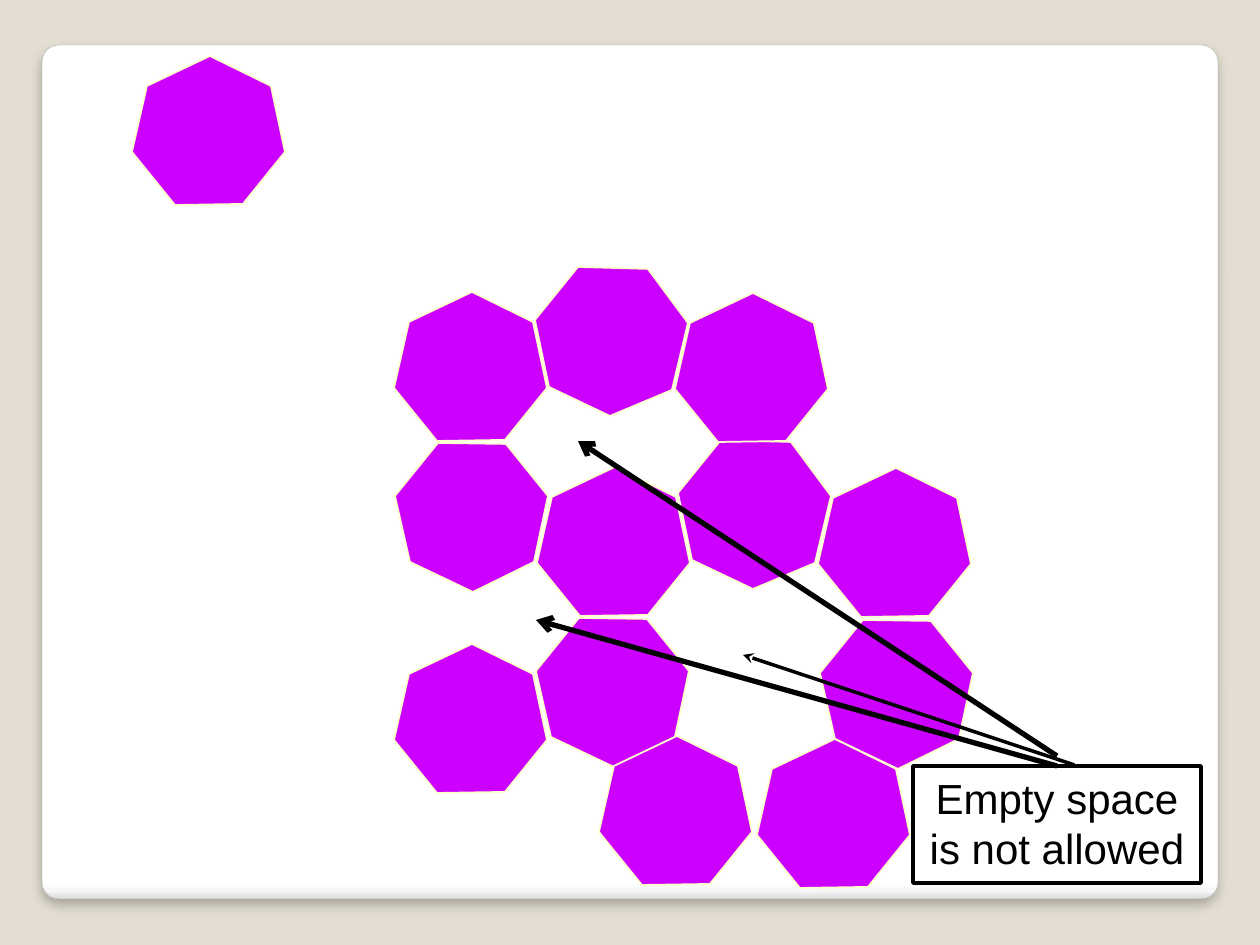
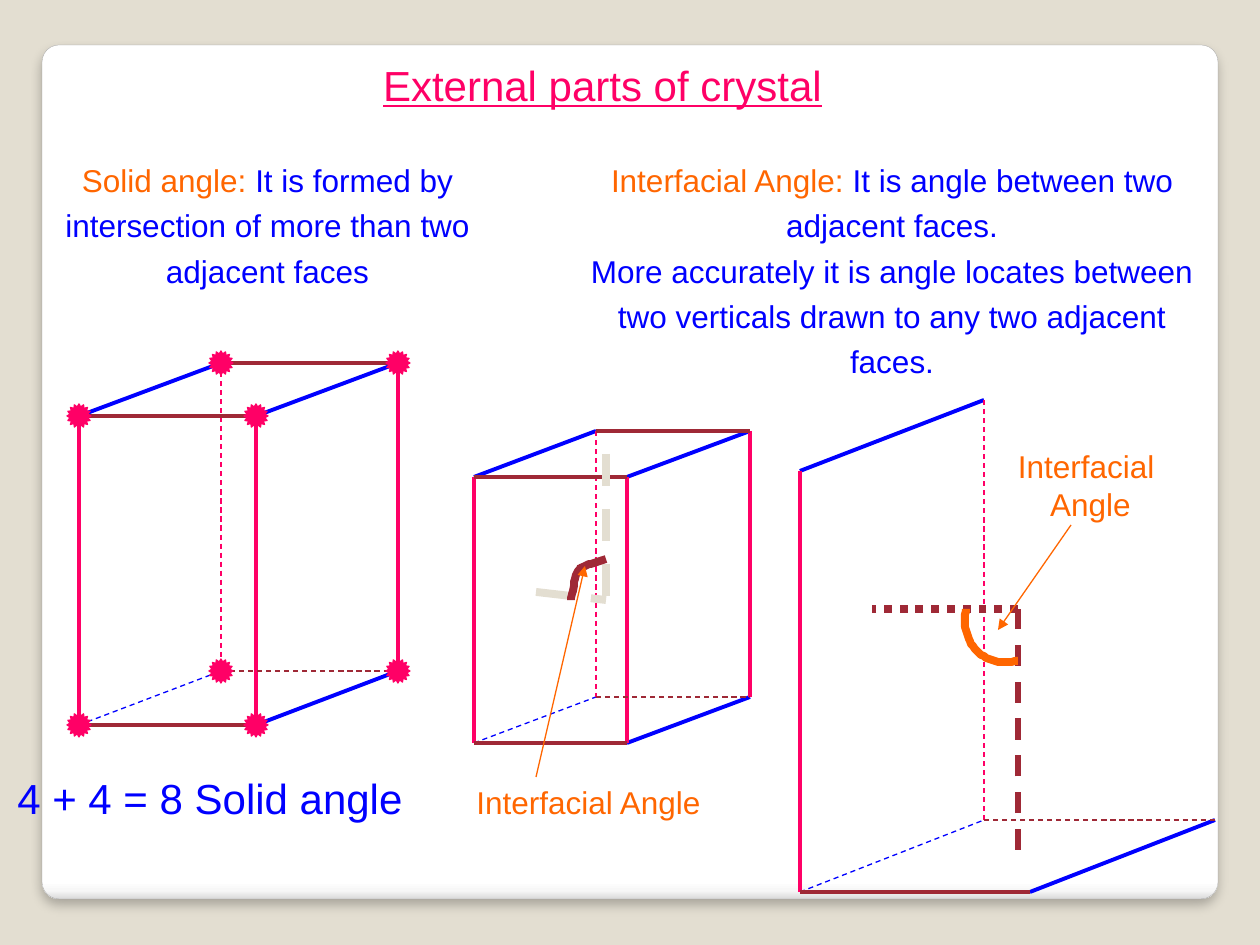
from dataclasses import dataclass

from lxml import etree
from pptx import Presentation
from pptx.dml.color import RGBColor
from pptx.enum.dml import MSO_LINE
from pptx.enum.shapes import MSO_CONNECTOR, MSO_SHAPE
from pptx.enum.text import MSO_ANCHOR, MSO_AUTO_SIZE, PP_ALIGN
from pptx.oxml.ns import qn
from pptx.util import Pt

STRAIGHT = MSO_CONNECTOR.STRAIGHT
DASH, DOT = MSO_LINE.DASH, MSO_LINE.ROUND_DOT
ROUNDED, CALLOUT, STAR = MSO_SHAPE.ROUNDED_RECTANGLE, MSO_SHAPE.LINE_CALLOUT_1, MSO_SHAPE.STAR_16_POINT
CENTER, TOP, FIXED = PP_ALIGN.CENTER, MSO_ANCHOR.TOP, MSO_AUTO_SIZE.NONE

EMU_PER_PX = 914400 / 126
SLIDE_SIZE = (1260, 945)


@dataclass(frozen=True)
class Theme:
    font: str = "Arial"
    heading: int = 24
    body: int = 18
    backdrop: str = "E3DED1"
    panel_edge: str = "A4A4A4"
    tile: str = "CC00FF"
    tile_edge: str = "FFFFCC"
    ink: str = "000000"
    pink: str = "FF0066"
    blue: str = "0000FF"
    orange: str = "FF6600"
    maroon: str = "9F2936"
    thin: float = 0.75
    edge: float = 2.25
    thick: float = 4.5


THEME = Theme()

# Content: panel shared by both slides
PANEL = (42, 45, 1176, 854)
PANEL_STOPS = [(0, "FFFFFF"), (98, "FFFFFF"), (99, "F7F7F7"), (100, "DADADA")]

# Content: heptagon tiles
UPRIGHT = [(43, 149), (0, 96), (15, 30), (78, 0), (139, 30), (153, 96), (111, 148)]
OUTLINES = {
    "upright": UPRIGHT,
    "flipped": [(x, 149 - y) for x, y in UPRIGHT],
    "turned": [(14, 120), (0, 53), (43, 0), (113, 2), (153, 56), (137, 123), (75, 149)],
}
TILES = [
    ("upright", 132, 56), ("upright", 394, 292), ("flipped", 395, 443),
    ("turned", 535, 267), ("upright", 537, 467), ("turned", 678, 440),
    ("upright", 675, 293), ("upright", 818, 468), ("flipped", 536, 618),
    ("flipped", 820, 620), ("upright", 599, 736), ("upright", 757, 739),
    ("upright", 394, 644),
]
GAP_NOTE = "Empty space is not allowed"
GAP_NOTE_BOX = (913, 766, 288, 117)
GAP_NOTE_LEADER = (-0.01, 0.56, -0.95, -0.59)
GAP_ARROWS = [((1057, 766), (536, 620)), ((1057, 756), (578, 441))]

# Content: parts of a crystal
TITLE = [[("External parts of crystal", THEME.pink)]]
TITLE_BOX = (368, 53, 469, 63)
DEFINITIONS = [
    ((0, 147, 535, 197), [
        [("Solid angle: ", THEME.orange),
         ("It is formed by intersection of more than two adjacent faces", THEME.blue)],
    ]),
    ((577, 147, 630, 238), [
        [("Interfacial Angle: ", THEME.orange),
         ("It is angle between two adjacent faces.", THEME.blue)],
        [("More accurately it is angle locates between two verticals drawn "
          "to any two adjacent faces.", THEME.blue)],
    ]),
]
LABELS = [
    ((1004, 441, 173, 89), THEME.body, False,
     [[("Interfacial ", THEME.orange)], [("Angle", THEME.orange)]]),
    ((462, 777, 253, 50), THEME.body, False, [[("Interfacial Angle", THEME.orange)]]),
    ((0, 766, 420, 115), THEME.heading, True, [[("4 + 4 = 8 Solid angle", THEME.blue)]]),
]

# Corners read front/back, top/bottom, left/right; the back bottom left one is hidden
EDGE_COLORS = {
    THEME.blue: ["FTL BTL", "FTR BTR", "FBR BBR", "FBL BBL"],
    THEME.pink: ["BTR BBR", "BTL BBL", "FTL FBL", "FTR FBR"],
    THEME.maroon: ["BBL BBR", "BTL BTR", "FTL FTR", "FBL FBR"],
}
HIDDEN_CORNER = "BBL"
# Per prism: left, right, top, bottom of the front and back face, then absent corners
PRISMS = [
    {"F": (79, 256, 416, 725), "B": (221, 398, 363, 671), "absent": ()},
    {"F": (474, 627, 477, 743), "B": (596, 750, 431, 697), "absent": ()},
    {"F": (800, 1030, 471, 892), "B": (984, 1215, 400, 820), "absent": ("FTR", "BTR")},
]
STAR_SIZE = 24

NORMALS = [
    ((606, 454), (606, 600), THEME.backdrop, THEME.thick, DASH),
    ((536, 592), (606, 600), THEME.backdrop, THEME.thick, DASH),
    ((1018, 850), (1018, 609), THEME.maroon, 3, DASH),
    ((1018, 609), (872, 609), THEME.maroon, THEME.thick, DOT),
]
ANGLE_ARCS = [
    (THEME.maroon, (606, 559), [
        ((597, 562), (590, 564), (585, 566)),
        ((580, 568), (580, 567), (577, 573)),
        ((575, 578), (572, 595), (571, 600))]),
    (THEME.orange, (966, 609), [
        ((965, 616), (964, 622), (966, 630)),
        ((968, 638), (971, 645), (977, 651)),
        ((982, 656), (990, 660), (998, 662)),
        ((1004, 663), (1016, 661), (1018, 661))]),
]
ANGLE_POINTERS = [((536, 777), (585, 566)), ((1071, 525), (998, 630))]


def px(*lengths):
    return [round(length * EMU_PER_PX) for length in lengths]


def add_xml(parent, tag, **attributes):
    return etree.SubElement(parent, qn(tag), {k: str(v) for k, v in attributes.items()})


def paint_fill(shape, color):
    shape.fill.solid()
    shape.fill.fore_color.rgb = RGBColor.from_string(color)


def paint_line(shape, color, width, dash=None, head=None):
    shape.line.color.rgb = RGBColor.from_string(color)
    shape.line.width = Pt(width)
    if dash:
        shape.line.dash_style = dash
    if head:
        add_xml(shape.element.spPr.get_or_add_ln(), "a:tailEnd", type=head)


def write(shape, paragraphs, size, wrap=True, spacing=1.0, underline=False):
    frame = shape.text_frame
    frame.word_wrap = wrap
    frame.auto_size = FIXED
    frame.vertical_anchor = TOP
    for number, runs in enumerate(paragraphs):
        paragraph = frame.add_paragraph() if number else frame.paragraphs[0]
        properties = paragraph._p.get_or_add_pPr()
        properties.set("marL", "0")
        properties.set("indent", "0")
        add_xml(properties, "a:buNone")
        paragraph.alignment = CENTER
        paragraph.line_spacing = spacing
        paragraph.space_before = Pt(0)
        for text, color in runs:
            run = paragraph.add_run()
            run.text = text
            run.font.name = THEME.font
            run.font.size = Pt(size)
            run.font.underline = underline
            run.font.color.rgb = RGBColor.from_string(color)


def place(shape, box):
    shape.left, shape.top, shape.width, shape.height = px(*box)


def draw_line(slide, start, end, color, width, dash=None, head=None):
    line = slide.shapes.add_connector(STRAIGHT, *px(*start, *end))
    paint_line(line, color, width, dash, head)
    add_xml(line.element.spPr, "a:effectLst")


def draw_outline(slide, points, closed):
    builder = slide.shapes.build_freeform(*points[0], scale=EMU_PER_PX)
    builder.add_line_segments(points[1:], close=closed)
    outline = builder.convert_to_shape()
    outline.shadow.inherit = False
    return outline


def curve_points(start, segments, steps=8):
    points = [start]
    for c1, c2, end in segments:
        origin = points[-1]
        for step in range(1, steps + 1):
            t = step / steps
            u = 1 - t
            points.append(tuple(
                u**3 * a + 3 * u * u * t * b + 3 * u * t * t * c + t**3 * d
                for a, b, c, d in zip(origin, c1, c2, end)))
    return points


def prism_corners(prism):
    corners = {}
    for face in "FB":
        left, right, top, bottom = prism[face]
        for side, x in (("L", left), ("R", right)):
            for level, y in (("T", top), ("B", bottom)):
                corners[face + level + side] = (x, y)
    return corners


def draw_prism(slide, prism):
    corners = prism_corners(prism)
    for color, edges in EDGE_COLORS.items():
        for edge in edges:
            ends = edge.split()
            if any(corner in prism["absent"] for corner in ends):
                continue
            hidden = HIDDEN_CORNER in ends
            draw_line(slide, *(corners[corner] for corner in ends), color,
                      THEME.thin if hidden else THEME.edge, DASH if hidden else None)


def set_up_master(prs, slide):
    """Give the master its backdrop and the rounded white panel."""
    master = prs.slide_master
    master.background.fill.solid()
    master.background.fill.fore_color.rgb = RGBColor.from_string(THEME.backdrop)
    panel = slide.shapes.add_shape(ROUNDED, *px(*PANEL))
    panel.adjustments[0] = 0.02
    panel.fill.gradient()
    panel.fill.gradient_angle = 270
    properties = panel.element.spPr
    stops = properties.find(".//" + qn("a:gsLst"))
    for stop in list(stops):
        stops.remove(stop)
    for position, color in PANEL_STOPS:
        add_xml(add_xml(stops, "a:gs", pos=position * 1000), "a:srgbClr", val=color)
    paint_line(panel, THEME.panel_edge, 0.16)
    panel.shadow.inherit = False
    shadow = add_xml(properties.find(qn("a:effectLst")), "a:outerShdw", blurRad=Pt(6),
                     dist=Pt(4), dir=5400000, algn="t", rotWithShape=0)
    add_xml(add_xml(shadow, "a:srgbClr", val=THEME.ink), "a:alpha", val=25000)
    master.shapes.element.insert(2, panel.element)


def build_tiling(slide):
    for kind, left, top in TILES:
        tile = draw_outline(slide, [(left + x, top + y) for x, y in OUTLINES[kind]], True)
        paint_fill(tile, THEME.tile)
        paint_line(tile, THEME.tile_edge, 1)

    # Note on the gaps, with its three arrows
    note = slide.shapes.add_shape(CALLOUT, *px(*GAP_NOTE_BOX))
    for index, value in enumerate(GAP_NOTE_LEADER):
        note.adjustments[index] = value
    note.shadow.inherit = False
    note.fill.background()
    paint_line(note, THEME.ink, 2, head="stealth")
    write(note, [[(GAP_NOTE, THEME.ink)]], THEME.heading)
    for start, end in GAP_ARROWS:
        draw_line(slide, start, end, THEME.ink, 3, head="arrow")


def build_crystal_parts(slide):
    # Title and definitions
    title, *bodies = slide.placeholders
    place(title, TITLE_BOX)
    write(title, TITLE, THEME.heading, wrap=False, underline=True)
    for body, (box, paragraphs) in zip(bodies, DEFINITIONS):
        place(body, box)
        write(body, paragraphs, THEME.body, spacing=1.2)

    # Prisms, the first with its solid angles starred
    for prism in PRISMS:
        draw_prism(slide, prism)
    for x, y in prism_corners(PRISMS[0]).values():
        half = STAR_SIZE / 2
        star = slide.shapes.add_shape(STAR, *px(x - half, y - half, STAR_SIZE, STAR_SIZE))
        star.shadow.inherit = False
        paint_fill(star, THEME.pink)
        paint_line(star, THEME.pink, THEME.thin)

    # Interfacial angles
    for normal in NORMALS:
        draw_line(slide, *normal)
    for color, start, segments in ANGLE_ARCS:
        arc = draw_outline(slide, curve_points(start, segments), False)
        arc.fill.background()
        paint_line(arc, color, THEME.thick)
    for start, end in ANGLE_POINTERS:
        draw_line(slide, start, end, THEME.orange, THEME.thin, head="triangle")
    for box, size, wrap, paragraphs in LABELS:
        write(slide.shapes.add_textbox(*px(*box)), paragraphs, size, wrap)


def main():
    prs = Presentation()
    prs.slide_width, prs.slide_height = px(*SLIDE_SIZE)
    blank, two_content = prs.slide_layouts[6], prs.slide_layouts[3]
    tiling = prs.slides.add_slide(blank)
    set_up_master(prs, tiling)
    build_tiling(tiling)
    build_crystal_parts(prs.slides.add_slide(two_content))
    prs.save("out.pptx")


if __name__ == "__main__":
    main()
